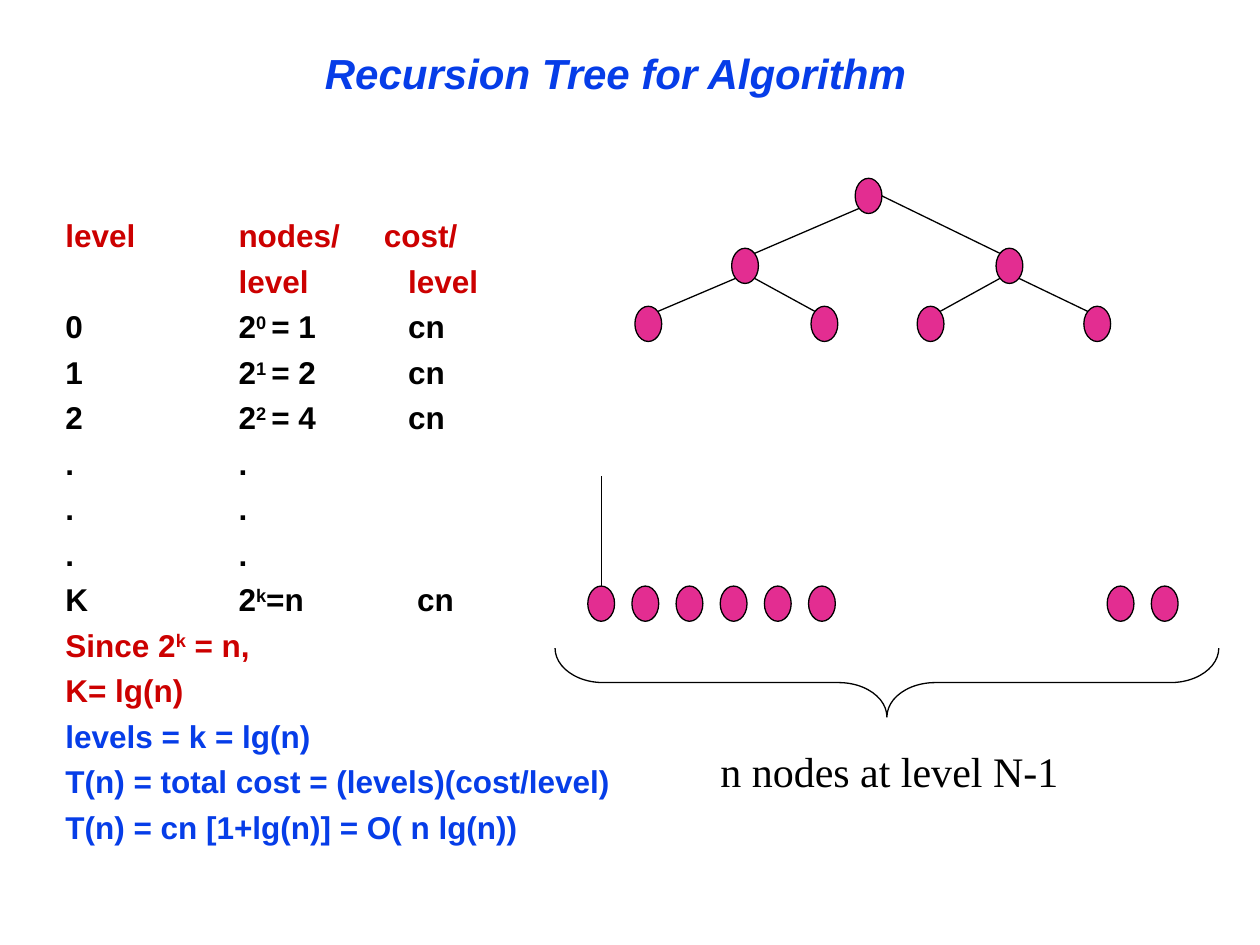
from dataclasses import dataclass
from lxml import etree
from pptx import Presentation
from pptx.dml.color import RGBColor
from pptx.enum.shapes import MSO_CONNECTOR, MSO_SHAPE
from pptx.enum.text import MSO_ANCHOR, PP_ALIGN
from pptx.oxml.ns import qn
from pptx.util import Cm, Pt

ELLIPSE, BRACE = MSO_SHAPE.OVAL, MSO_SHAPE.LEFT_BRACE
STRAIGHT = MSO_CONNECTOR.STRAIGHT
MIDDLE, TOP = MSO_ANCHOR.MIDDLE, MSO_ANCHOR.TOP
LEFT, CENTER = PP_ALIGN.LEFT, PP_ALIGN.CENTER


@dataclass(frozen=True)
class Theme:
    blue: RGBColor = RGBColor(0x06, 0x3D, 0xE8)
    red: RGBColor = RGBColor(0xCC, 0x00, 0x00)
    black: RGBColor = RGBColor(0x00, 0x00, 0x00)
    pink: RGBColor = RGBColor(0xE3, 0x2D, 0x91)
    sans: str = "Arial"
    serif: str = "Times New Roman"
    heading: Pt = Pt(24)
    body: Pt = Pt(18)
    row_gap: Pt = Pt(4.4)
    stroke: Pt = Pt(0.75)


theme = Theme()

TITLE = "Recursion Tree for Algorithm"
CAPTION = "n nodes at level N-1"
NODES_TAB, COST_TAB, HEADER_COST_TAB, LAST_COST_TAB = 3.49, 6.91, 6.42, 7.09

# Odd-numbered pieces are superscripts.
ROWS = [
    (theme.red, HEADER_COST_TAB, ["level\tnodes/\tcost/"]),
    (theme.red, COST_TAB, ["\tlevel\tlevel"]),
    (theme.black, COST_TAB, ["0\t2", "0 ", "= 1\tcn"]),
    (theme.black, COST_TAB, ["1\t2", "1 ", "= 2\tcn"]),
    (theme.black, COST_TAB, ["2\t2", "2 ", "= 4\tcn"]),
    *[(theme.black, COST_TAB, [".\t."])] * 3,
    (theme.black, LAST_COST_TAB, ["K\t2", "k", "=n\tcn"]),
    (theme.red, COST_TAB, ["Since 2", "k", " = n, "]),
    (theme.red, COST_TAB, ["K= lg(n)"]),
    (theme.blue, COST_TAB, ["levels = k = lg(n)"]),
    (theme.blue, COST_TAB, ["T(n) = total cost = (levels)(cost/level)"]),
    (theme.blue, COST_TAB, ["T(n) = cn [1+lg(n)] = O( n lg(n))"]),
]

NODE_W, NODE_H = 0.54, 0.71
TREE = [
    (3.95, [17.51]),
    (5.36, [15.02, 20.35]),
    (6.53, [13.07, 16.62, 18.76, 22.12]),
]
LEAF_Y, LEAF_STEP = 12.17, 0.89
LEAF_GROUPS = [(12.12, 6), (22.59, 2)]
STEM_TOP = 9.59
DIAGONAL = 0.5 ** 0.5

deck = Presentation()
deck.slide_width, deck.slide_height = Cm(25.4), Cm(19.05)
slide = deck.slides.add_slide(deck.slide_layouts[6])


def add_text_box(left, top, width, height, anchor=TOP, wrap=True):
    frame = slide.shapes.add_textbox(Cm(left), Cm(top), Cm(width), Cm(height)).text_frame
    frame.word_wrap = wrap
    frame.vertical_anchor = anchor
    return frame


def style(run, size, face, color, bold=False, italic=False):
    font = run.font
    font.size, font.name, font.bold, font.italic = size, face, bold, italic
    font.color.rgb = color


def add_outline(kind, center_x, center_y, width, height):
    shape = slide.shapes.add_shape(
        kind, Cm(center_x - width / 2), Cm(center_y - height / 2), Cm(width), Cm(height))
    shape.shadow.inherit = False
    shape.line.color.rgb = theme.black
    shape.line.width = theme.stroke
    return shape


def add_node(x, y):
    node = add_outline(ELLIPSE, x, y, NODE_W, NODE_H)
    node.fill.solid()
    node.fill.fore_color.rgb = theme.pink


def add_edge(x1, y1, x2, y2):
    edge = slide.shapes.add_connector(STRAIGHT, Cm(x1), Cm(y1), Cm(x2), Cm(y2))
    edge.line.color.rgb = theme.black
    edge.line.width = theme.stroke
    etree.SubElement(edge._element.spPr, qn("a:effectLst"))


title = add_text_box(4.9, 0.84, 15.6, 1.27, MIDDLE)
title.margin_left = Cm(1.65)
title.text = TITLE
title.paragraphs[0].alignment = LEFT
style(title.paragraphs[0].runs[0], theme.heading, theme.sans, theme.blue, True, True)

table_text = add_text_box(1.07, 4.24, 11.63, 12.9)
for index, (color, cost_tab, pieces) in enumerate(ROWS):
    row = table_text.add_paragraph() if index else table_text.paragraphs[0]
    row.space_before = theme.row_gap
    tabs = etree.SubElement(row._p.get_or_add_pPr(), qn("a:tabLst"))
    for stop in (NODES_TAB, cost_tab):
        etree.SubElement(tabs, qn("a:tab"), pos=str(Cm(stop)), algn="l")
    for position, piece in enumerate(pieces):
        run = row.add_run()
        run.text = piece
        style(run, theme.body, theme.sans, color, True)
        if position % 2:
            run.font._element.set("baseline", "30000")

dx, dy = NODE_W / 2 * DIAGONAL, NODE_H / 2 * DIAGONAL
for depth, (y, centers) in enumerate(TREE):
    for index, x in enumerate(centers):
        add_node(x, y)
        if depth:
            parent_y, parents = TREE[depth - 1]
            parent_x = parents[index // 2]
            side = 1 if index % 2 else -1
            from_root_right = depth == 1 and side == 1
            start_x = parent_x + side * (NODE_W / 2 if from_root_right else dx)
            start_y = parent_y + (0 if from_root_right else dy)
            add_edge(start_x, start_y, x - side * dx, y - dy)

for start, count in LEAF_GROUPS:
    for index in range(count):
        add_node(start + index * LEAF_STEP, LEAF_Y)
stem_x = LEAF_GROUPS[0][0]
add_edge(stem_x, LEAF_Y - NODE_H / 2, stem_x, STEM_TOP)

brace = add_outline(BRACE, 17.88, 13.76, 1.39, 13.38)
brace.fill.background()
brace.rotation = 270
brace.adjustments[0] = 0.7
brace.adjustments[1] = 0.5

caption = add_text_box(14.27, 14.9, 7.32, 1.55, wrap=False)
caption.text = CAPTION
caption.paragraphs[0].alignment = CENTER
style(caption.paragraphs[0].runs[0], theme.heading, theme.serif, theme.black)

deck.save("out.pptx")
